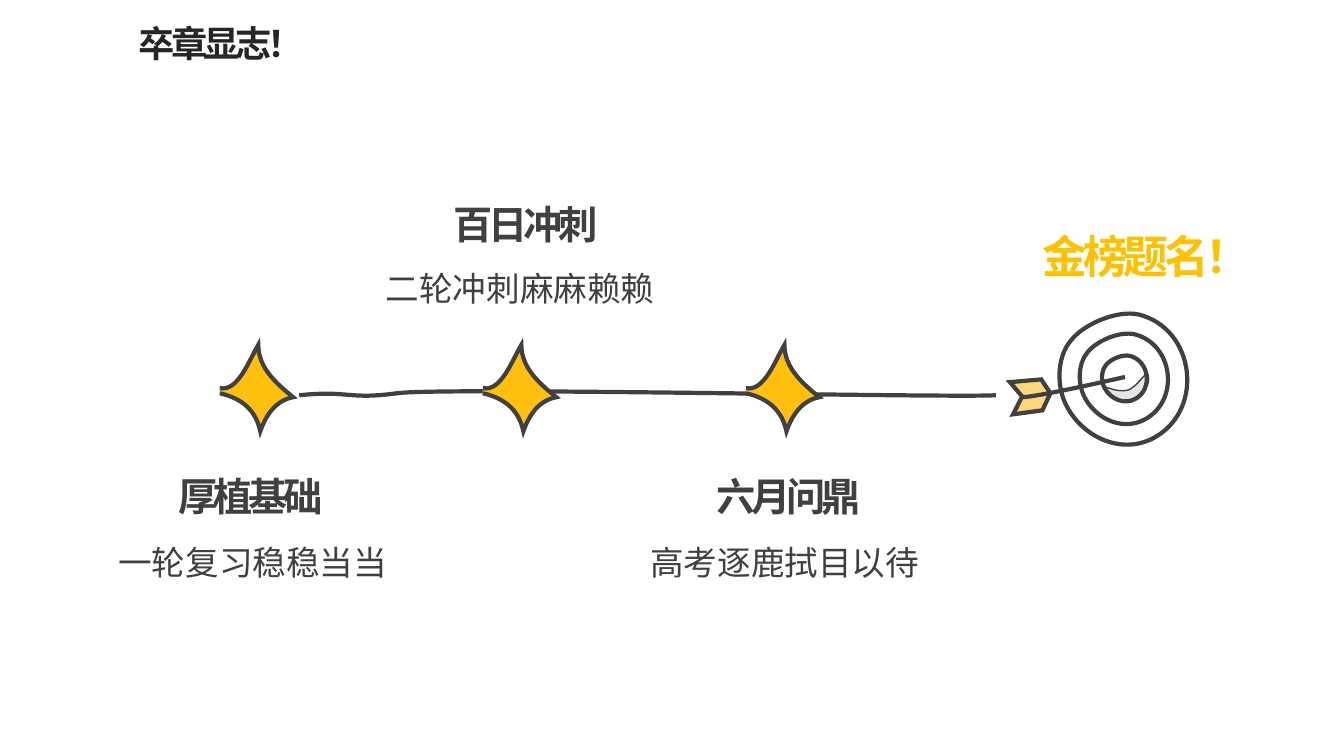
from dataclasses import dataclass
from math import cos, radians, sin

from lxml import etree
from pptx import Presentation
from pptx.dml.color import RGBColor
from pptx.enum.text import MSO_AUTO_SIZE, PP_ALIGN
from pptx.oxml.ns import qn
from pptx.slide import Slide
from pptx.util import Cm, Pt

LEFT, CENTER = PP_ALIGN.LEFT, PP_ALIGN.CENTER
FIT_SHAPE = MSO_AUTO_SIZE.SHAPE_TO_FIT_TEXT
FONT = "Noto Sans CJK JP"
COLORS = {
    "title": "262626",
    "ink": "404040",
    "star": "FEBF0F",
    "goal": "FFC000",
    "feather": "FDD67A",
    "shade": "E7E4EA",
}
CURVE_STEPS = 14
STAR_LEFT, STAR_TOP, STAR_PITCH = 5.54, 8.69, 6.63
TARGET_X, TARGET_Y, TARGET_TILT = 28.35, 9.53, 34.8
RING_SCALES = (1, 0.69, 0.35)

Point = tuple[float, float]


@dataclass(frozen=True)
class Outline:
    start: Point
    segments: tuple[tuple[Point, ...], ...]
    closed: bool = False
    fill: str | None = None
    width: float = 3
    tilt: float = TARGET_TILT


@dataclass(frozen=True)
class TextStyle:
    size: float
    color: str = "ink"
    bold: bool = True
    spacing: float = -3
    align: PP_ALIGN = CENTER
    line_spacing: float = 1.0
    wrap: bool = True


@dataclass(frozen=True)
class Milestone:
    heading: str
    heading_left: float
    heading_top: float
    detail: str
    detail_left: float
    detail_top: float


TITLE = TextStyle(26, color="title", align=LEFT, wrap=False)
HEADING = TextStyle(28)
DETAIL = TextStyle(24, bold=False, spacing=0, align=LEFT, line_spacing=1.25)
GOAL = TextStyle(32, color="goal")

MILESTONES = (
    Milestone("厚植基础", 4.22, 11.78, "一轮复习稳稳当当", 2.73, 13.27),
    Milestone("百日冲刺", 11.16, 4.93, "二轮冲刺麻麻赖赖", 9.47, 6.37),
    Milestone("六月问鼎", 17.77, 11.78, "高考逐鹿拭目以待", 16.14, 13.27),
)

TIMELINE = Outline((7.54, 9.96), (
    ((8.81, 9.83), (8.74, 10.08), (10.01, 9.91)),
    ((11.18, 9.75), (23.95, 10.03), (25.1, 9.96)),
), tilt=105)
STAR = Outline((0, 1.09), (
    ((0.46, 1.19), (0.74, 0.38), (0.97, 0)),
    ((0.97, 0.58), (1.42, 0.97), (1.85, 1.32)),
    ((1.42, 1.4), (1.17, 1.75), (1.02, 2.18)),
    ((0.91, 1.65), (0.56, 1.35), (0, 1.22)),
), fill="star", tilt=0)
RING = Outline((-1.45, 0.74), (
    ((-1.02, 1.52), (-0.03, 1.96), (0.79, 1.47)),
    ((2.01, 0.74), (1.75, -1.24), (0.36, -1.6)),
    ((-0.18, -1.73), (-1.04, -1.37), (-1.37, -0.94)),
    ((-1.73, -0.51), (-1.73, 0.25), (-1.45, 0.74)),
), closed=True)
BULLSEYE_SHADE = Outline((-0.48, 0.25), (
    ((-0.48, 0.38), (-0.25, 0.51), (-0.18, 0.56)),
    ((-0.03, 0.61), (0.15, 0.58), (0.28, 0.51)),
    ((0.46, 0.41), (0.69, 0.08), (0.56, -0.13)),
    ((0.41, 0), (0.3, 0.18), (0.13, 0.28)),
    ((-0.05, 0.36), (-0.28, 0.3), (-0.46, 0.23)),
), closed=True, fill="shade", width=1)
FEATHERS = Outline((-2.59, 0.46), (
    ((-2.9, 0.1),), ((-2.11, 0.03),), ((-1.88, 0.38),), ((-2.08, 0.81),), ((-2.82, 0.91),),
), closed=True, fill="feather")
SHAFT = Outline((0, -0.03), (((0, -0.03), (-2.11, 0.46), (-2.59, 0.48)),))


def rgb(name: str) -> RGBColor:
    return RGBColor.from_string(COLORS[name])


def turn(point: Point, degrees: float) -> Point:
    x, y = point
    a = radians(degrees)
    return x * cos(a) - y * sin(a), x * sin(a) + y * cos(a)


def trace(start: Point, segments: list[list[Point]]) -> list[Point]:
    points = [start]
    for segment in segments:
        if len(segment) == 1:
            points += segment
            continue
        knots = (points[-1], *segment)
        for step in range(1, CURVE_STEPS + 1):
            t = step / CURVE_STEPS
            weights = ((1 - t) ** 3, 3 * t * (1 - t) ** 2, 3 * t * t * (1 - t), t ** 3)
            points.append(tuple(sum(w * k[axis] for w, k in zip(weights, knots))
                                for axis in (0, 1)))
    return points


def draw_outline(s: Slide, outline: Outline, left: float = 0, top: float = 0,
                 scale: float = 1) -> None:
    def place(point: Point) -> Point:
        x, y = turn((left + scale * point[0], top + scale * point[1]), -outline.tilt)
        return Cm(x), Cm(y)

    start = place(outline.start)
    segments = [[place(point) for point in segment] for segment in outline.segments]
    points = trace(start, segments)
    builder = s.shapes.build_freeform(*points[0])
    builder.add_line_segments(points[1:], close=outline.closed)
    sp = builder.convert_to_shape()
    sp.shadow.inherit = False

    route = next(sp._element.iter(qn("a:path")))
    for child in list(route):
        route.remove(child)
    for tag, knots in [("a:moveTo", [start])] + [
            ("a:cubicBezTo" if len(g) == 3 else "a:lnTo", g) for g in segments]:
        command = etree.SubElement(route, qn(tag))
        for x, y in knots:
            etree.SubElement(command, qn("a:pt"), x=str(x - sp.left), y=str(y - sp.top))
    if outline.closed:
        etree.SubElement(route, qn("a:close"))

    x, y = turn((sp.left + sp.width / 2, sp.top + sp.height / 2), outline.tilt)
    sp.left, sp.top = round(x - sp.width / 2), round(y - sp.height / 2)
    sp.rotation = outline.tilt
    if outline.fill:
        sp.fill.solid()
        sp.fill.fore_color.rgb = rgb(outline.fill)
    else:
        sp.fill.background()
    sp.line.color.rgb = rgb("ink")
    sp.line.width = Pt(outline.width)
    etree.SubElement(sp._element.spPr.find(qn("a:ln")), qn("a:miter"), lim="800000")


def draw_text(s: Slide, text: str, left: float, top: float, width: float,
              height: float, style: TextStyle) -> None:
    tf = s.shapes.add_textbox(Cm(left), Cm(top), Cm(width), Cm(height)).text_frame
    tf.word_wrap = style.wrap
    tf.auto_size = FIT_SHAPE
    p = tf.paragraphs[0]
    p.alignment = style.align
    p.line_spacing = style.line_spacing
    r = p.add_run()
    r.text = text
    formats = {"name": FONT, "size": Pt(style.size), "bold": style.bold}
    for name, value in formats.items():
        setattr(r.font, name, value)
    r.font.color.rgb = rgb(style.color)
    props = r._r.get_or_add_rPr()
    props.set("lang", "zh-CN")
    props.set("spc", str(round(style.spacing * 100)))
    etree.SubElement(props, qn("a:ea")).set("typeface", FONT)


def main() -> None:
    prs = Presentation()
    prs.slide_width, prs.slide_height = Cm(33.87), Cm(19.05)
    s = prs.slides.add_slide(prs.slide_layouts[6])
    draw_text(s, "卒章显志！", 3.25, 0.41, 4.57, 1.37, TITLE)
    draw_outline(s, TIMELINE)
    draw_outline(s, BULLSEYE_SHADE, TARGET_X, TARGET_Y)
    for scale in RING_SCALES:
        draw_outline(s, RING, TARGET_X, TARGET_Y, scale)
    for arrow_part in (FEATHERS, SHAFT):
        draw_outline(s, arrow_part, TARGET_X, TARGET_Y)
    for i in range(len(MILESTONES)):
        draw_outline(s, STAR, STAR_LEFT + i * STAR_PITCH, STAR_TOP)
    for m in MILESTONES:
        draw_text(s, m.heading, m.heading_left, m.heading_top, 4.19, 1.45, HEADING)
        draw_text(s, m.detail, m.detail_left, m.detail_top, 7.5, 1.52, DETAIL)
    draw_text(s, "金榜题名！", 25.66, 5.64, 5.33, 1.63, GOAL)
    prs.save("out.pptx")


if __name__ == "__main__":
    main()
